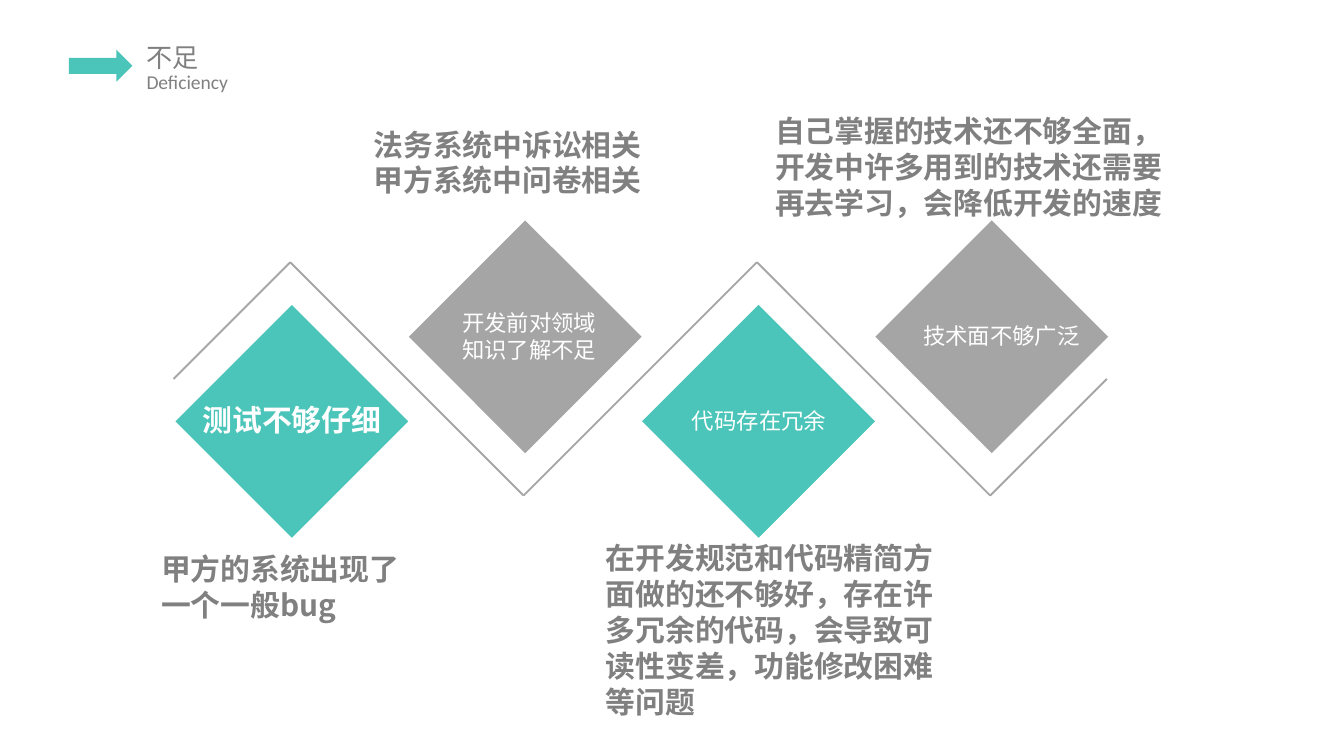
import itertools
from dataclasses import dataclass

import pptx
import pptx.dml.color
import pptx.enum.shapes
import pptx.enum.text
import pptx.oxml.ns
import pptx.util
from lxml import etree

Pt = pptx.util.Pt
SHAPE = pptx.enum.shapes.MSO_SHAPE


@dataclass(frozen=True)
class Theme:
    teal: str = "4BC5B9"
    gray: str = "A5A5A5"
    line: str = "A6A6A6"
    text: str = "808080"
    white: str = "FFFFFF"
    cjk: str = "Noto Sans CJK SC"
    latin: str = "Calibri"
    body: float = 16
    title: float = 14
    label: float = 12
    subtitle: float = 10.5


THEME = Theme()
STEP = 125
DIAMOND_SIZE = 124.7
DIAMOND_LEFT = 94
LOW_TOP, HIGH_TOP = 163.4, 118.1
ZIGZAG_LEFT, ZIGZAG_TOP = 93, 140.5

DIAMONDS = [
    (["测试不够仔细"], (101.5, 211.7, 111.6, 26.6), THEME.body, True),
    (["开发前对领域", "知识了解不足"], (240.5, 162, 87.1, 36), THEME.label, False),
    (["代码存在冗余"], (363.6, 214.6, 87.1, 21.6), THEME.label, False),
    (["技术面不够广泛"], (487.4, 169.2, 99.4, 21.6), THEME.label, False),
]

DETAILS = [
    (["甲方的系统出现了一个一般bug"], (79.2, 291.6, 151.9, 46)),
    (["法务系统中诉讼相关", "甲方系统中问卷相关"], (193, 64.1, 181.4, 46)),
    (["在开发规范和代码精简方面做的还不够好，存在许多冗余的代码，会导致可读性变差，功能修改困难等问题"],
     (317.5, 285.8, 195.8, 104.4)),
    (["自己掌握的技术还不够全面，开发中许多用到的技术还需要再去学习，会降低开发的速度"],
     (408.2, 56.9, 223.9, 65.5)),
]


def rgb(color):
    return pptx.dml.color.RGBColor.from_string(color)


def write_text(holder, lines, *, box, size, color=THEME.text, font=THEME.cjk,
               bold=False, wrap=False, inset=7.2):
    holder.left, holder.top, holder.width, holder.height = map(Pt, box)
    frame = holder.text_frame
    frame.word_wrap = wrap
    frame.auto_size = pptx.enum.text.MSO_AUTO_SIZE.SHAPE_TO_FIT_TEXT
    frame.vertical_anchor = pptx.enum.text.MSO_ANCHOR.TOP
    frame.margin_left = frame.margin_right = Pt(inset)
    frame.margin_top = frame.margin_bottom = Pt(3.6)
    frame.text = "\n".join(lines)
    for paragraph in frame.paragraphs:
        paragraph.alignment = pptx.enum.text.PP_ALIGN.LEFT
        for run in paragraph.runs:
            run.font.size = Pt(size)
            run.font.bold = bold
            run.font.color.rgb = rgb(color)
            run.font.name = font
            east_asian = etree.SubElement(run.font._element, pptx.oxml.ns.qn("a:ea"))
            east_asian.set("typeface", font)


def add_text(shapes, lines, **style):
    write_text(shapes.add_textbox(0, 0, 0, 0), lines, **style)


def add_filled_shape(shapes, kind, box, color):
    figure = shapes.add_shape(kind, *map(Pt, box))
    figure.shadow.inherit = False
    figure.fill.solid()
    figure.fill.fore_color.rgb = rgb(color)
    figure.line.fill.background()


def add_line(shapes, start, end):
    segment = shapes.add_connector(pptx.enum.shapes.MSO_CONNECTOR.STRAIGHT,
                                   *map(Pt, (*start, *end)))
    segment.line.color.rgb = rgb(THEME.line)
    segment.line.width = Pt(1)
    etree.SubElement(segment._element.spPr, pptx.oxml.ns.qn("a:effectLst"))


def add_header(slide):
    write_text(slide.shapes.title, ["不足"], box=(70.6, 18.7, 43.9, 24.5),
               size=THEME.title, inset=7.9)
    add_text(slide.shapes, ["Deficiency"], box=(70.6, 33.8, 59.8, 20.2),
             size=THEME.subtitle, font=THEME.latin, inset=7.9)
    add_filled_shape(slide.shapes, SHAPE.RIGHT_ARROW, (36.9, 26.8, 34, 17), THEME.teal)


def add_zigzag(shapes):
    peak = ZIGZAG_LEFT + STEP / 2
    middle = ZIGZAG_TOP + STEP / 2
    corners = [(peak + STEP * i, ZIGZAG_TOP + STEP * (i % 2)) for i in range(4)]
    points = [(ZIGZAG_LEFT, middle), *corners, (ZIGZAG_LEFT + 4 * STEP, middle)]
    for start, end in itertools.pairwise(points):
        add_line(shapes, start, end)


def add_diamond(shapes, index, lines, label_box, size, bold):
    raised = index % 2
    group = shapes.add_group_shape()
    add_filled_shape(group.shapes, SHAPE.DIAMOND,
                     (DIAMOND_LEFT + STEP * index, HIGH_TOP if raised else LOW_TOP,
                      DIAMOND_SIZE, DIAMOND_SIZE),
                     THEME.gray if raised else THEME.teal)
    add_text(group.shapes, lines, box=label_box, size=size, bold=bold, color=THEME.white)


def main():
    deck = pptx.Presentation()
    deck.slide_width, deck.slide_height = Pt(720), Pt(405)
    slide = deck.slides.add_slide(deck.slide_layouts[5])
    add_header(slide)
    add_zigzag(slide.shapes)
    for index, diamond in enumerate(DIAMONDS):
        add_diamond(slide.shapes, index, *diamond)
    for lines, box in DETAILS:
        add_text(slide.shapes, lines, box=box, size=THEME.body, bold=True, wrap=True)
    deck.save("out.pptx")


if __name__ == "__main__":
    main()
